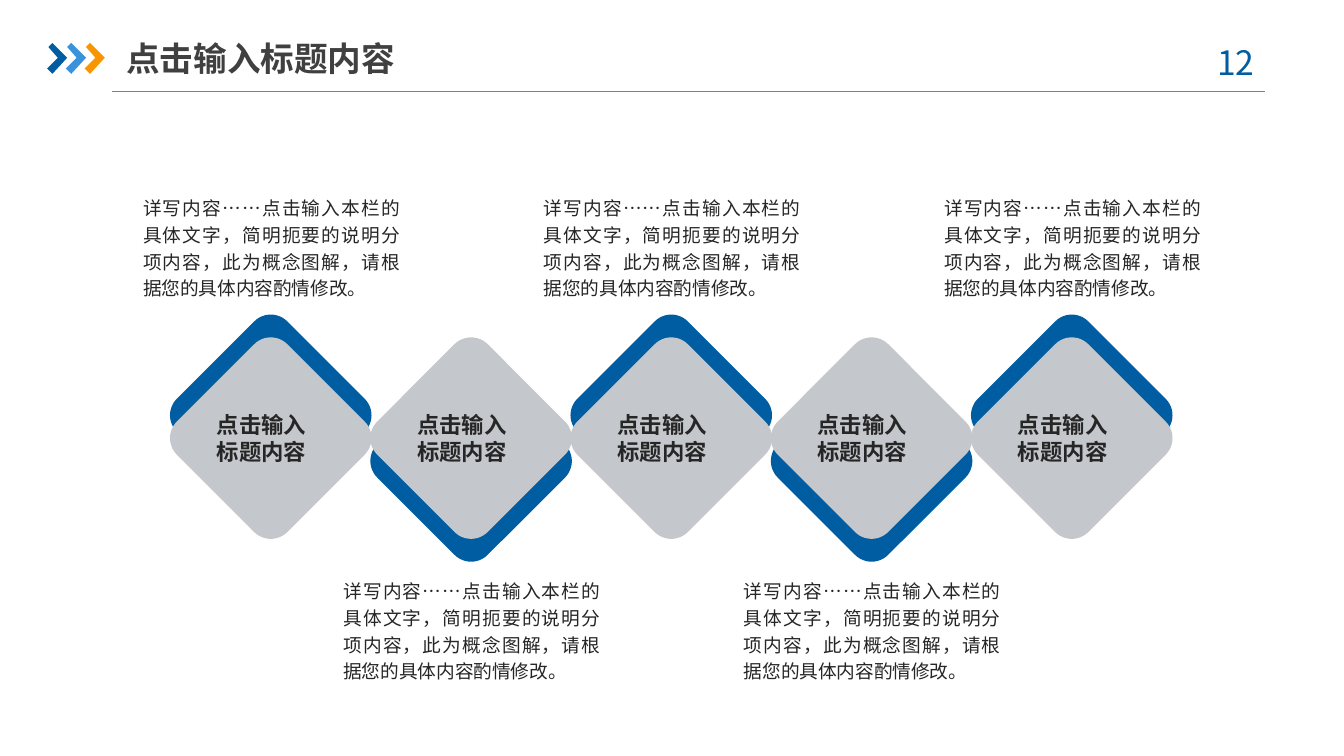
from collections import namedtuple

from lxml.etree import SubElement
from pptx import Presentation
from pptx.dml.color import RGBColor
from pptx.enum.shapes import MSO_CONNECTOR as Connector, MSO_SHAPE as Preset
from pptx.enum.text import MSO_ANCHOR as Anchor, PP_ALIGN as Align
from pptx.oxml.ns import qn
from pptx.util import Inches, Pt

Box = namedtuple("Box", "left top width height")

FONT = "Noto Sans CJK SC"
COLORS = {
    "blue": "005DA2", "sky": "3992DB", "orange": "F79600", "silver": "C4C7CB",
    "rule": "808080", "title": "404040", "ink": "262626",
}
PAGE = Box(0, 0, 10, 10 * 9 / 16)
HEADING = "点击输入标题内容"
DETAIL = "详写内容……点击输入本栏的具体文字，简明扼要的说明分项内容，此为概念图解，请根据您的具体内容酌情修改。"
CHEVRON = [(0.01, 0.03), (0.04, 0), (0.15, 0.11), (0.04, 0.23), (0, 0.19), (0.08, 0.11)]
COLUMNS = 5


def color(name):
    return RGBColor.from_string(COLORS[name])


def inches(lengths):
    return [Inches(length) for length in lengths]


def paint(shape, fill):
    shape.shadow.inherit = False
    shape.fill.solid()
    shape.fill.fore_color.rgb = color(fill)
    shape.line.fill.background()


def add_text(slide, box, text, size, ink, bold=False, frame_format=None, para_format=None):
    frame = slide.shapes.add_textbox(*inches(box)).text_frame
    frame.word_wrap = True
    for name, value in (frame_format or {}).items():
        setattr(frame, name, value)
    para = frame.paragraphs[0]
    for name, value in (para_format or {}).items():
        setattr(para, name, value)
    span = para.add_run()
    span.text = text
    for name, value in {"name": FONT, "size": Pt(size), "bold": bold}.items():
        setattr(span.font, name, value)
    span.font.color.rgb = color(ink)
    SubElement(span._r.get_or_add_rPr(), qn("a:ea"), typeface=FONT)


def add_chevron(slide, left, top, fill):
    points = [inches((left + x, top + y)) for x, y in CHEVRON]
    builder = slide.shapes.build_freeform(*points[0])
    builder.add_line_segments(points[1:], close=True)
    paint(builder.convert_to_shape(), fill)


def add_header(slide, box):
    bottom = box.top + box.height
    rule = slide.shapes.add_connector(
        Connector.STRAIGHT,
        *inches((box.left + 0.48, bottom, box.left + box.width, bottom)))
    rule.line.color.rgb = color("rule")
    rule.line.width = Pt(0.75)
    SubElement(rule._element.spPr, qn("a:effectLst"))
    for index, fill in enumerate(("blue", "sky", "orange")):
        add_chevron(slide, box.left + 0.14 * index, box.top + 0.1, fill)
    add_text(slide, Box(box.left + 8.51, box.top + 0.04, 0.73, 0.4), "12 ", 18, "blue",
             para_format={"alignment": Align.CENTER})
    add_text(slide, Box(box.left + 0.59, box.top, 2.33, 0.42), HEADING, 18, "title", True,
             {"vertical_anchor": Anchor.MIDDLE, "margin_left": 0, "margin_right": 0})


def add_diamond(slide, center_x, center_y, side, rotation, fill):
    box = Box(center_x - side / 2, center_y - side / 2, side, side)
    diamond = slide.shapes.add_shape(Preset.ROUNDED_RECTANGLE, *inches(box))
    diamond.adjustments[0] = 0.15
    diamond.rotation = rotation
    paint(diamond, fill)


def add_step(slide, box, points_up):
    center_x = box.left + box.width / 2
    center_y = box.top + box.height / 2
    side = box.width * 0.78
    shift, rotation = (-0.17, 315) if points_up else (0.17, 135)
    add_diamond(slide, center_x, center_y + shift, side, rotation, "blue")
    add_diamond(slide, center_x, center_y, side, rotation, "silver")
    add_text(slide, Box(center_x - 0.5, center_y - 0.11, 0.99, 0.22), HEADING, 12, "ink", True,
             {"vertical_anchor": Anchor.MIDDLE})
    detail_top = box.top if points_up else box.top + box.height - 0.81
    margins = {f"margin_{edge}": 0 for edge in ("left", "top", "right", "bottom")}
    add_text(slide, Box(center_x - 0.95, detail_top, 1.91, 0.81), DETAIL, 10, "ink",
             frame_format=margins,
             para_format={"alignment": Align.JUSTIFY, "line_spacing": 1.2})


def add_steps(slide, box):
    width = box.width / COLUMNS
    for column in range(COLUMNS):
        cell = Box(box.left + column * width, box.top, width, box.height)
        add_step(slide, cell, column % 2 == 0)


def main():
    deck = Presentation()
    deck.slide_width, deck.slide_height = inches((PAGE.width, PAGE.height))
    slide = deck.slides.add_slide(deck.slide_layouts[6])
    add_header(slide, Box(0.35, 0.22, 9.06, 0.46))
    add_steps(slide, Box(1.27, 1.43, 7.45, 3.66))
    deck.save("out.pptx")


if __name__ == "__main__":
    main()
